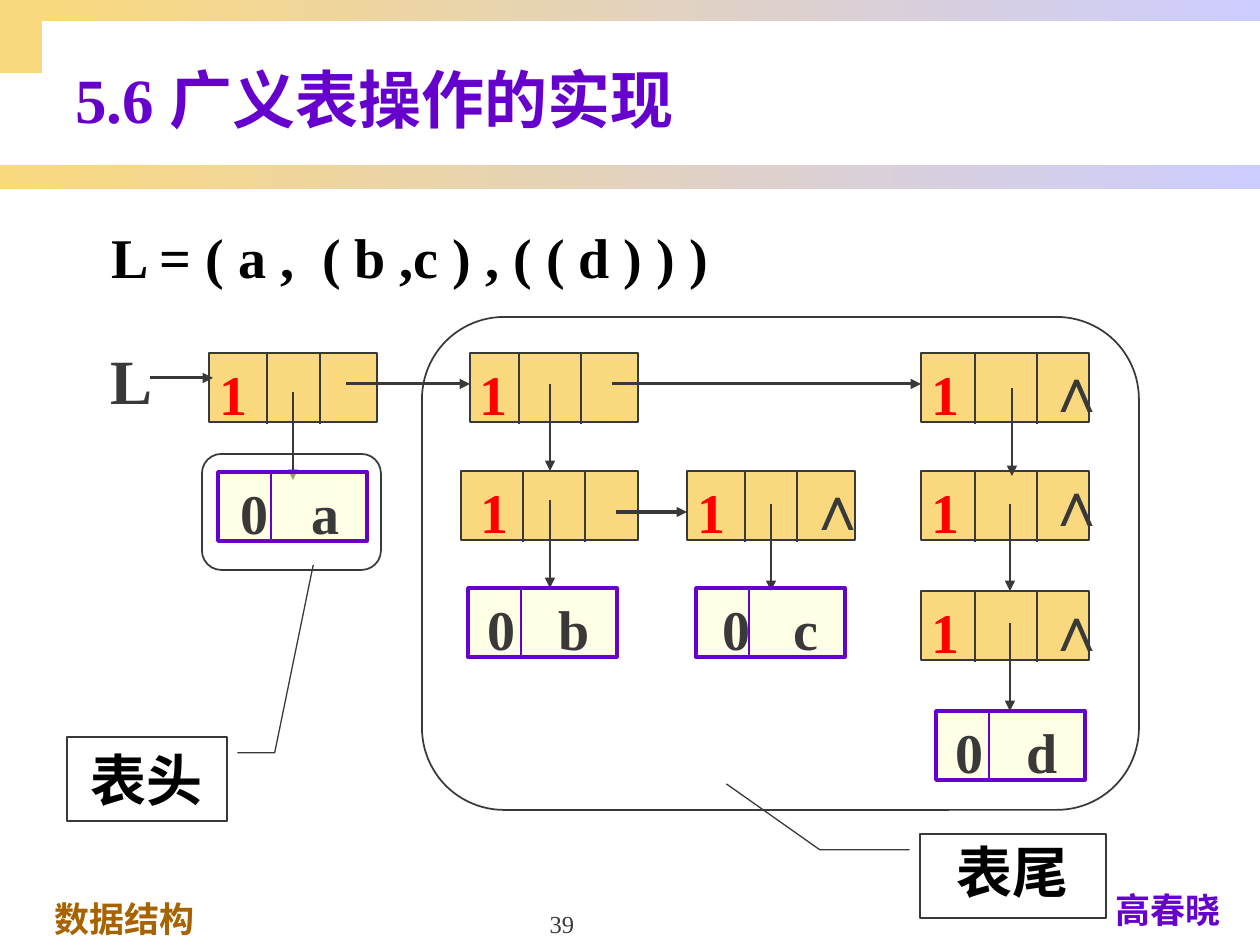
from lxml.etree import SubElement
from pptx import Presentation
from pptx.dml.color import RGBColor
from pptx.enum.shapes import MSO_CONNECTOR, MSO_SHAPE
from pptx.enum.text import MSO_ANCHOR, MSO_AUTO_SIZE, PP_ALIGN
from pptx.oxml.ns import qn
from pptx.util import Emu, Pt

# Content, in pixels
GOLD, LILAC, PURPLE, BROWN = "F9D87E", "CCCCFF", "6600CC", "A66300"
GREY, RED, BLACK, CREAM = "393939", "FF0000", "000000", "FFFFCC"
FONT = "Times New Roman"
ROWS = 353, 471, 591
NODE_HEIGHT = 69
TAB = 71
LEFT, CENTER, RIGHT = PP_ALIGN.LEFT, PP_ALIGN.CENTER, PP_ALIGN.RIGHT

bands = [(0, 165, 1260, 24), (42, 0, 1218, 21)]
# left, row, width, divider positions, text inset
list_nodes = [
    (209, 0, 168, (267, 320), 10),
    (470, 0, 168, (519, 581), 10),
    (921, 0, 168, (975, 1037), 10),
    (461, 1, 177, (523, 585), 20),
    (687, 1, 168, (745, 797), 10),
    (921, 1, 168, (975, 1037), 10),
    (921, 2, 168, (975, 1037), 10),
]
# letter, left, top, text inset
atoms = [("a", 218, 472, 23), ("b", 468, 588, 20),
         ("c", 696, 588, 27), ("d", 936, 711, 20)]
# y, from x, to x
next_links = [(378, 150, 213), (384, 346, 470), (384, 612, 921), (512, 616, 687)]
# x, from y, to y
down_links = [(293, 392, 480), (550, 384, 471), (550, 500, 588), (771, 504, 591),
              (1012, 388, 476), (1010, 504, 591), (1010, 623, 711)]
end_marks = [(1033, 343), (1033, 457), (1033, 582), (794, 461)]
groups = [(422, 317, 717, 493), (202, 454, 179, 116)]
# text, box, callout adjustments, line spacing
callouts = [
    ("表头", (67, 737, 160, 84), (0.188, 1.065, 0.188, 1.298, -2.049, 1.539), None),
    ("表尾", (920, 834, 186, 84), (0.188, -0.056, 0.188, -0.539, -0.596, -1.041), 0.85),
]

SCALE = 914400 // 126
prs = Presentation()
prs.slide_width, prs.slide_height = Emu(9144000), Emu(6858000)
slide = prs.slides.add_slide(prs.slide_layouts[6])


def px(value):
    return Emu(round(value * SCALE))


def rgb(value):
    return RGBColor.from_string(value)


def write(part, text, size, color, bold=True, align=LEFT, anchor=MSO_ANCHOR.TOP,
          wrap=True, grow=False, before=True, inset=None, pad=None):
    frame = part.text_frame
    frame.word_wrap = wrap
    frame.auto_size = MSO_AUTO_SIZE.SHAPE_TO_FIT_TEXT if grow else MSO_AUTO_SIZE.NONE
    frame.vertical_anchor = anchor
    if inset is not None:
        frame.margin_left = px(inset)
    if pad is not None:
        frame.margin_top = frame.margin_bottom = px(pad)
    paragraph = frame.paragraphs[0]
    paragraph.alignment = align
    if before:
        # Space before, relative to the text size
        spacing = SubElement(paragraph._p.get_or_add_pPr(), qn("a:spcBef"))
        SubElement(spacing, qn("a:spcPct")).set("val", "50000")
    run = paragraph.add_run()
    run.text = text
    run.font.name, run.font.size, run.font.bold = FONT, Pt(size), bold
    run.font.color.rgb = rgb(color)
    return paragraph


def label(box, text, size, color, **options):
    return write(slide.shapes.add_textbox(*map(px, box)), text, size, color, **options)


def block(box, fill=None, line=None, width=1.0, kind=MSO_SHAPE.RECTANGLE):
    part = slide.shapes.add_shape(kind, *map(px, box))
    part.shadow.inherit = False
    if fill:
        part.fill.solid()
        part.fill.fore_color.rgb = rgb(fill)
    else:
        part.fill.background()
    if line:
        part.line.color.rgb = rgb(line)
        part.line.width = Pt(width)
    else:
        part.line.fill.background()
    return part


def link(x1, y1, x2, y2, width=0.75, color=GREY, arrow=False):
    line = slide.shapes.add_connector(MSO_CONNECTOR.STRAIGHT, *map(px, (x1, y1, x2, y2)))
    line.line.color.rgb = rgb(color)
    line.line.width = Pt(width)
    properties = line._element.spPr
    if arrow:
        SubElement(properties.find(qn("a:ln")), qn("a:tailEnd")).set("type", "triangle")
    SubElement(properties, qn("a:effectLst"))


# Page frame
block((0, 0, 42, 73), GOLD)
for box in bands:
    band = block(box, GOLD)
    band.fill.gradient()
    band.fill.gradient_angle = 0
    for stop, color, position in zip(band.fill.gradient_stops, (GOLD, LILAC), (0, 1)):
        stop.color.rgb = rgb(color)
        stop.position = position
label((42, 891, 441, 54), "数据结构", 20, BROWN, grow=True)
label((1086, 882, 164, 54), "高春晓", 20, PURPLE, align=CENTER, grow=True)
label((431, 882, 262, 63), "39", 14, GREY, bold=False, align=CENTER,
      anchor=MSO_ANCHOR.BOTTOM, before=False)

# Title and formula
label((63, 31, 1197, 135), "5.6 广义表操作的实现", 36, PURPLE,
      anchor=MSO_ANCHOR.MIDDLE, before=False)
label((96, 208, 625, 97), "L = ( a ,  ( b ,c ) , ( ( d ) ) )", 32, BLACK,
      align=RIGHT, wrap=False, grow=True, pad=15)
label((98, 335, 67, 88), "L", 36, GREY, align=RIGHT, wrap=False, grow=True)

# List nodes
for left, row, width, dividers, inset in list_nodes:
    top = ROWS[row]
    node = block((left, top, width, NODE_HEIGHT), GOLD, GREY, 1.5)
    write(node, "1", 32, RED, inset=inset)
    for x in dividers:
        link(x, top, x, top + NODE_HEIGHT + 2)

# Links, drawn under the half-transparent atoms
for y, start, end in next_links:
    link(start, y, end, y, 1.75, arrow=True)
for x, start, end in down_links:
    link(x, start, x, end, arrow=True)
for left, top in end_marks:
    label((left, top, 63, 88), "∧", 36, GREY, bold=False, align=RIGHT,
          wrap=False, grow=True)

# Atoms: tag and letter on a tab stop
for letter, left, top, inset in atoms:
    atom = block((left, top, 149, NODE_HEIGHT), CREAM, PURPLE, 2)
    tint = atom._element.spPr.find(qn("a:solidFill")).find(qn("a:srgbClr"))
    SubElement(tint, qn("a:alpha")).set("val", "50000")
    paragraph = write(atom, "0\t" + letter, 32, GREY, inset=inset)
    tabs = SubElement(paragraph._p.get_or_add_pPr(), qn("a:tabLst"))
    tab = SubElement(tabs, qn("a:tab"))
    tab.set("pos", str(px(TAB)))
    tab.set("algn", "l")
    link(left + 53, top, left + 53, top + NODE_HEIGHT, color=PURPLE)

# Head and tail of the list
for box in groups:
    block(box, line=GREY, kind=MSO_SHAPE.FLOWCHART_ALTERNATE_PROCESS)
for text, box, adjustments, spacing in callouts:
    callout = block(box, line=GREY, width=0.75, kind=MSO_SHAPE.LINE_CALLOUT_2)
    for index, value in enumerate(adjustments):
        callout.adjustments[index] = value
    paragraph = write(callout, text, 32, BLACK, align=CENTER,
                      anchor=MSO_ANCHOR.MIDDLE, pad=15)
    if spacing:
        paragraph.line_spacing = spacing

prs.save("out.pptx")
